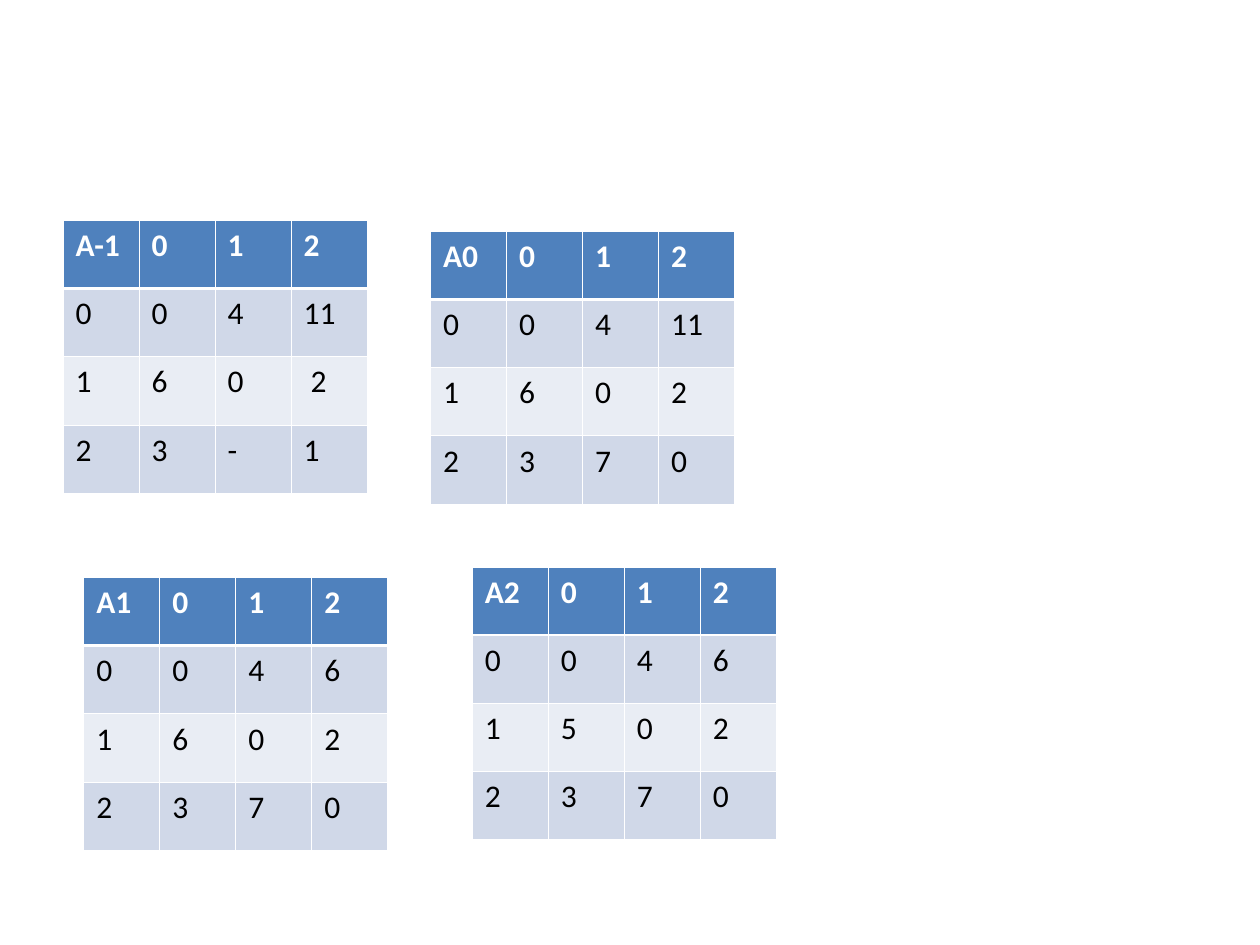
from lxml import etree
from pptx import Presentation
from pptx.dml.color import RGBColor
from pptx.oxml.ns import qn
from pptx.util import Cm, Pt

FONT = "Calibri"
WHITE, BLACK = "FFFFFF", "000000"
HEADER, BAND_DARK, BAND_LIGHT = "4F81BD", "D0D8E8", "E9EDF4"
THIN, THICK = 0.45, 1.47
TABLE_W, TABLE_H = 6.13, 5.5

MATRICES = [
    (1.27, 4.44, [["A-1", "0", "1", "2"], ["0", "0", "4", "11"],
                  ["1", "6", "0", " 2"], ["2", "3", "-", "1"]]),
    (8.68, 4.66, [["A0", "0", "1", "2"], ["0", "0", "4", "11"],
                  ["1", "6", "0", "2"], ["2", "3", "7", "0"]]),
    (1.69, 11.64, [["A1", "0", "1", "2"], ["0", "0", "4", "6"],
                   ["1", "6", "0", "2"], ["2", "3", "7", "0"]]),
    (9.52, 11.43, [["A2", "0", "1", "2"], ["0", "0", "4", "6"],
                   ["1", "5", "0", "2"], ["2", "3", "7", "0"]]),
]


def rgb(value):
    """Turn a hex string into a colour."""
    return RGBColor.from_string(value)


def write(tf, text, size=18, color=BLACK, bold=False):
    """Put one formatted run into a text frame."""
    r = tf.paragraphs[0].add_run()
    r.text = text
    r.font.name = FONT
    r.font.size = Pt(size)
    r.font.bold = bold
    r.font.color.rgb = rgb(color)


def set_borders(cell, widths, color=WHITE):
    """Draw the left, right, top and bottom borders of a cell."""
    tc_pr = cell._tc.get_or_add_tcPr()
    for i, (side, width) in enumerate(zip("LRTB", widths)):
        ln = etree.Element(qn(f"a:ln{side}"), w=str(Pt(width)))
        fill = etree.SubElement(ln, qn("a:solidFill"))
        etree.SubElement(fill, qn("a:srgbClr"), val=color)
        tc_pr.insert(i, ln)


def fill_color(row):
    """Choose the fill of a row: header, then alternating bands."""
    if row == 0:
        return HEADER
    return BAND_DARK if row % 2 else BAND_LIGHT


def add_matrix(s, left, top, rows):
    """Add one banded matrix table with a header row."""
    frame = s.shapes.add_table(len(rows), len(rows[0]), Cm(left), Cm(top),
                               Cm(TABLE_W), Cm(TABLE_H))
    for i, row in enumerate(rows):
        header = i == 0
        widths = (THIN, THIN, THICK if i == 1 else THIN, THICK if header else THIN)
        for j, text in enumerate(row):
            cell = frame.table.cell(i, j)
            cell.fill.solid()
            cell.fill.fore_color.rgb = rgb(fill_color(i))
            set_borders(cell, widths)
            write(cell.text_frame, text, color=WHITE if header else BLACK, bold=header)


def main():
    """Build the slide with its four matrices."""
    prs = Presentation()
    prs.slide_width, prs.slide_height = Cm(25.4), Cm(19.05)
    s = prs.slides.add_slide(prs.slide_layouts[6])
    for left, top, rows in MATRICES:
        add_matrix(s, left, top, rows)
    prs.save("out.pptx")


if __name__ == "__main__":
    main()
